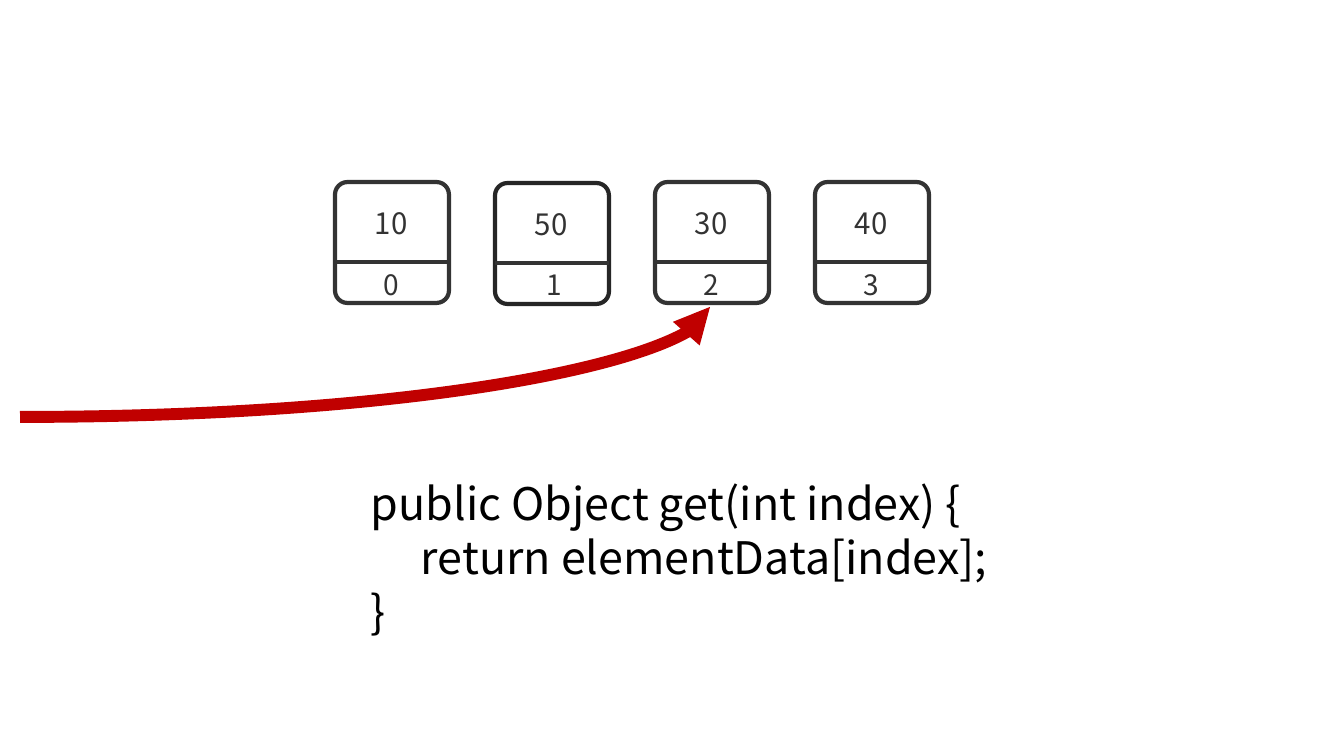
import pptx
import pptx.dml.color
import pptx.enum.shapes
import pptx.enum.text
import pptx.oxml.ns
import pptx.util
import lxml.etree

PIXEL = 914400 / 100.8
FONT = "Noto Sans CJK KR"
INK = "333333"


def color(value):
    return pptx.dml.color.RGBColor.from_string(value)


def px(*lengths):
    return [pptx.util.Emu(round(length * PIXEL)) for length in lengths]


presentation = pptx.Presentation()
presentation.slide_width, presentation.slide_height = px(1344, 756)
slide = presentation.slides.add_slide(presentation.slide_layouts[6])
shapes = slide.shapes
CENTER = pptx.enum.text.PP_ALIGN.CENTER
LEFT = pptx.enum.text.PP_ALIGN.LEFT
TOP = pptx.enum.text.MSO_ANCHOR.TOP
MIDDLE = pptx.enum.text.MSO_ANCHOR.MIDDLE

# Array cells: value, drop of the cell, shift of the index, outline
cells = [("10", 0, 0, INK), ("50", 1, 3, "262626"), ("30", 0, 0, INK), ("40", 0, 0, INK)]
cell_width, cell_pitch = 114, 160
lines = []
texts = []
for index, (value, drop, shift, outline) in enumerate(cells):
    left = 335 + cell_pitch * index
    top = 182 + drop
    box = shapes.add_shape(pptx.enum.shapes.MSO_SHAPE.ROUNDED_RECTANGLE,
                           *px(left, top, cell_width, 121))
    box.adjustments[0] = 0.11
    box.shadow.inherit = False
    box.fill.background()
    box.line.color.rgb = color(outline)
    box.line.width = pptx.util.Pt(3)
    divider = (left, top + 80, left + cell_width, top + 80)
    lines.append((pptx.enum.shapes.MSO_CONNECTOR.STRAIGHT, divider, INK, 3))
    texts.append((value, (left - 1, top + 18, cell_width, 45), 21, INK, CENTER, MIDDLE))
    texts.append((str(index), (left - 1 + shift, 263, cell_width, 44), 20, INK, CENTER, TOP))

# Dividers and the arrow to the element being read
lines.append((pptx.enum.shapes.MSO_CONNECTOR.CURVE, (20, 417, 710, 307), "C00000", 8.5))
for kind, ends, line_color, width in lines:
    connector = shapes.add_connector(kind, *px(*ends))
    connector.line.color.rgb = color(line_color)
    connector.line.width = pptx.util.Pt(width)
    properties = connector._element.spPr
    lxml.etree.SubElement(properties, pptx.oxml.ns.qn("a:effectLst"))

arrow = connector
geometry = arrow._element.spPr.find(pptx.oxml.ns.qn("a:prstGeom"))
geometry.set("prst", "curvedConnector2")
arrow_line = arrow._element.spPr.find(pptx.oxml.ns.qn("a:ln"))
lxml.etree.SubElement(arrow_line, pptx.oxml.ns.qn("a:tailEnd"), type="triangle")

# Values, indexes and the get method
code = "public Object get(int index) {\nreturn elementData[index];\n}"
texts.append((code, (361, 471, 672, 173), 32, "000000", LEFT, TOP))
for text, place, size, text_color, alignment, anchor in texts:
    text_box = shapes.add_textbox(*px(*place))
    text_frame = text_box.text_frame
    text_frame.word_wrap = True
    text_frame.vertical_anchor = anchor
    text_frame.text = text
    for paragraph in text_frame.paragraphs:
        paragraph.alignment = alignment
        font = paragraph.runs[0].font
        font.name = FONT
        font.size = pptx.util.Pt(size)
        font.color.rgb = color(text_color)

# Indent the method body
body = text_frame.paragraphs[1]
body._p.get_or_add_pPr().set("marL", str(px(50)[0]))

presentation.save("out.pptx")
